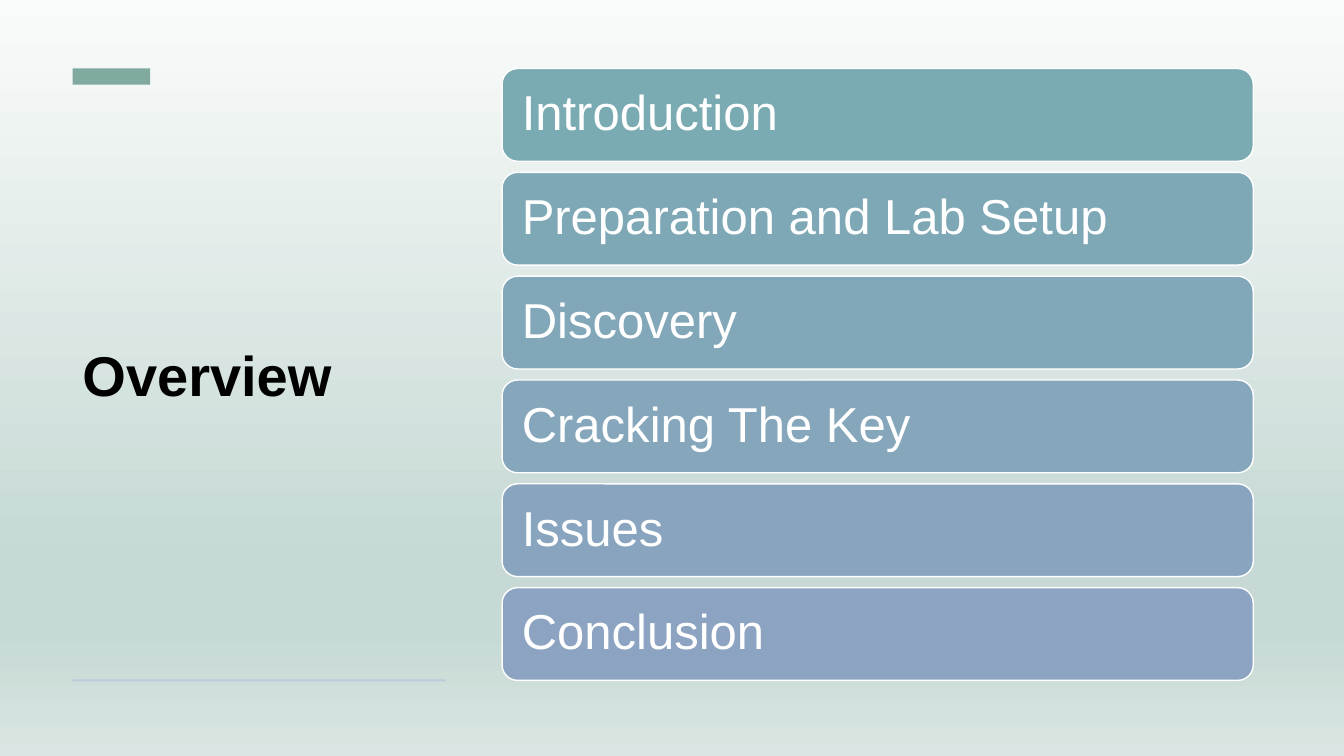
from lxml import etree
from pptx import Presentation
from pptx import util as u
from pptx.dml.color import RGBColor
from pptx.enum import shapes, text
from pptx.oxml.ns import qn

WHITE = RGBColor(0xFF, 0xFF, 0xFF)
BLACK = RGBColor(0x00, 0x00, 0x00)
GREEN = RGBColor(0x80, 0xAA, 0x9F)
RULE = RGBColor(0xBD, 0xCA, 0xDB)
MIST = RGBColor(0xF9, 0xFB, 0xFA)
SAGE = RGBColor(0xC6, 0xD9, 0xD4)
PALE = RGBColor(0xD9, 0xE5, 0xE2)
BACKDROP = [(0, MIST), (74, SAGE), (83, SAGE), (100, PALE)]

TOPICS = [
    ("Introduction", RGBColor(0x7A, 0xAA, 0xB2)),
    ("Preparation and Lab Setup", RGBColor(0x7E, 0xA8, 0xB5)),
    ("Discovery", RGBColor(0x81, 0xA7, 0xB8)),
    ("Cracking The Key", RGBColor(0x85, 0xA6, 0xBB)),
    ("Issues", RGBColor(0x88, 0xA4, 0xBE)),
    ("Conclusion", RGBColor(0x8C, 0xA3, 0xC1)),
]


class Deck:
    """Holds the style and the current slide."""

    font = "Arial"

    def __init__(self, prs):
        self.s = prs.slides.add_slide(prs.slide_layouts[6])

    def backdrop(self, stops):
        """Fill the background with a top-to-bottom gradient."""
        self.s.background.fill.gradient()
        grad = self.s.element.find(".//" + qn("a:gradFill"))
        for child in list(grad):
            grad.remove(child)
        gs_list = etree.SubElement(grad, qn("a:gsLst"))
        for pos, color in stops:
            gs = etree.SubElement(gs_list, qn("a:gs"), pos=str(pos * 1000))
            etree.SubElement(gs, qn("a:srgbClr"), val=str(color))
        etree.SubElement(grad, qn("a:lin"), ang="5400000", scaled="0")

    def box(self, kind, x, y, w, h, fill, line=None):
        sp = self.s.shapes.add_shape(kind, *map(u.Inches, (x, y, w, h)))
        sp.shadow.inherit = False
        sp.fill.solid()
        sp.fill.fore_color.rgb = fill
        if line is None:
            sp.line.fill.background()
        else:
            sp.line.color.rgb = line
            sp.line.width = u.Pt(1)
        return sp

    def bar(self, x, y, w, h, fill):
        return self.box(shapes.MSO_SHAPE.RECTANGLE, x, y, w, h, fill)

    def label(self, sp, words, size, color, inset, bold=False):
        tf = sp.text_frame
        tf.word_wrap = True
        tf.vertical_anchor = text.MSO_ANCHOR.MIDDLE
        tf.margin_left = tf.margin_right = u.Inches(inset)
        p = tf.paragraphs[0]
        p.alignment = text.PP_ALIGN.LEFT
        p.line_spacing = 0.9
        r = p.add_run()
        r.text = words
        r.font.name = self.font
        r.font.size = u.Pt(size)
        r.font.bold = bold
        r.font.color.rgb = color

    def title(self, x, y, w, h, words):
        sp = self.s.shapes.add_textbox(*map(u.Inches, (x, y, w, h)))
        self.label(sp, words, 40, BLACK, 0.1, bold=True)

    def card(self, x, y, w, h, words, fill):
        sp = self.box(shapes.MSO_SHAPE.ROUNDED_RECTANGLE, x, y, w, h, fill, WHITE)
        self.label(sp, words, 35, WHITE, 0.15)


def main():
    prs = Presentation()
    prs.slide_width, prs.slide_height = u.Inches(13.33), u.Inches(7.5)
    deck = Deck(prs)
    deck.backdrop(BACKDROP)

    # Title column with its accent bar and bottom rule
    deck.title(0.72, 1.05, 3.7, 5.41, "Overview")
    deck.bar(0.72, 0.68, 0.77, 0.16, GREEN)
    deck.bar(0.72, 6.74, 3.7, 0.02, RULE)

    # Topic cards, evenly stacked
    top, pitch = 0.68, 1.03
    for i, (topic, fill) in enumerate(TOPICS):
        deck.card(4.98, top + i * pitch, 7.45, 0.92, topic, fill)

    prs.save("out.pptx")


if __name__ == "__main__":
    main()
